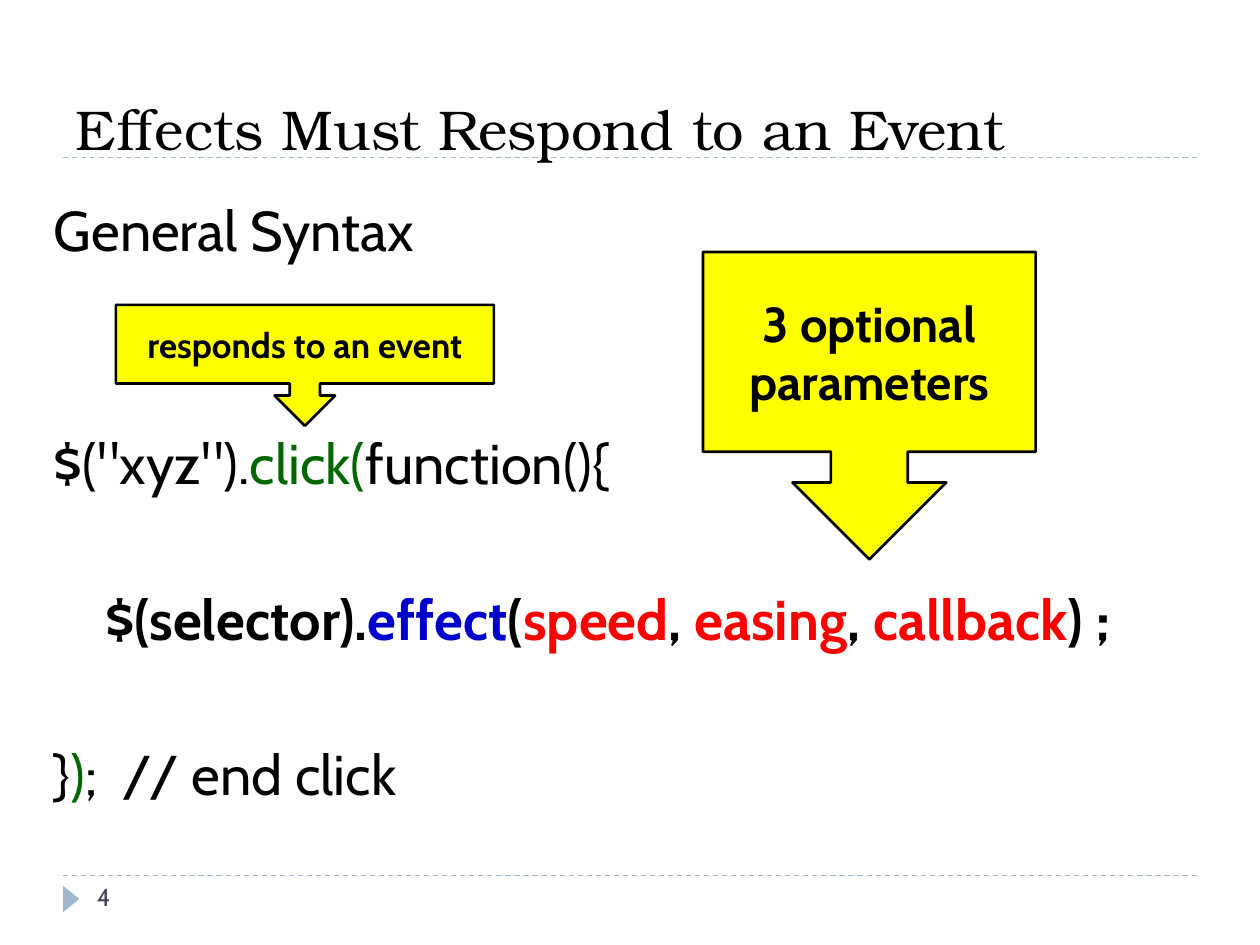
"""Build a slide on the syntax of effects that respond to an event."""
from lxml import etree
from pptx import Presentation
from pptx.dml.color import RGBColor
from pptx.enum.dml import MSO_LINE
from pptx.enum.shapes import MSO_CONNECTOR, MSO_SHAPE
from pptx.enum.text import MSO_ANCHOR, PP_ALIGN
from pptx.oxml.ns import qn
from pptx.util import Inches, Pt

DASH = MSO_LINE.DASH
LINE = MSO_CONNECTOR.STRAIGHT
TRIANGLE = MSO_SHAPE.ISOSCELES_TRIANGLE
CALLOUT = MSO_SHAPE.DOWN_ARROW_CALLOUT
BOTTOM, MIDDLE = MSO_ANCHOR.BOTTOM, MSO_ANCHOR.MIDDLE
CENTER = PP_ALIGN.CENTER
SANS, SERIF = "Cabin", "TeX Gyre Bonum"
BLACK, GREEN, BLUE, RED = "000000", "006600", "0000CC", "FF0000"
STEEL, YELLOW, GRAY = "9FB8CD", "FFFF00", "464653"


def color(code):
    return RGBColor.from_string(code)


def style(run, size, code=BLACK, bold=False, face=SANS):
    run.font.size = Pt(size)
    run.font.name = face
    run.font.bold = bold
    run.font.color.rgb = color(code)


deck = Presentation()
deck.slide_width, deck.slide_height = Inches(10), Inches(7.5)
slide = deck.slides.add_slide(deck.slide_layouts[6])
shapes = slide.shapes

for y in (6.95, 1.25):
    rule = shapes.add_connector(LINE, Inches(0.5), Inches(y), Inches(9.5), Inches(y))
    rule.line.color.rgb = color(STEEL)
    rule.line.width = Pt(0.75)
    rule.line.dash_style = DASH
    etree.SubElement(rule._element.spPr, qn("a:effectLst"))

marker = shapes.add_shape(TRIANGLE, Inches(0.46), Inches(7.07), Inches(0.21), Inches(0.13))
marker.rotation = 90
marker.shadow.inherit = False
marker.fill.solid()
marker.fill.fore_color.rgb = color(STEEL)
marker.line.fill.background()

title = shapes.add_textbox(Inches(0.5), Inches(0.25), Inches(9), Inches(1.08))
frame = title.text_frame
frame.word_wrap = True
frame.vertical_anchor = BOTTOM
frame.text = "Effects Must Respond to an Event"
style(frame.paragraphs[0].runs[0], 32, face=SERIF)

rows = [
    (6, 0, False, [("General Syntax", BLACK)]),
    (95, 0, False, [('$("xyz").', BLACK), ("click(", GREEN), ("function(){", BLACK)]),
    (50.5, 0.41, True, [
        ("$(selector).", BLACK), ("effect", BLUE), ("(", BLACK), ("speed", RED),
        (", ", BLACK), ("easing", RED), (", ", BLACK), ("callback", RED), (") ;", BLACK),
    ]),
    (50.5, 0, False, [("}", BLACK), (")", GREEN), (";  // end click", BLACK)]),
]
body = shapes.add_textbox(Inches(0.33), Inches(1.5), Inches(9.42), Inches(5.67))
frame = body.text_frame
frame.word_wrap = True
for i, (gap, indent, bold, parts) in enumerate(rows):
    para = frame.add_paragraph() if i else frame.paragraphs[0]
    para.space_before = Pt(gap)
    para._p.get_or_add_pPr().set("marL", str(Inches(indent)))
    for text, code in parts:
        run = para.add_run()
        run.text = text
        style(run, 32, code, bold)

number = shapes.add_textbox(Inches(0.67), Inches(6.95), Inches(2.17), Inches(0.4))
frame = number.text_frame
frame.word_wrap = True
frame.text = "4"
style(frame.paragraphs[0].runs[0], 14, GRAY)

notes = [
    (0.92, 2.42, 3, 0.96, 20, "responds to an event"),
    (5.58, 2, 2.64, 2.44, 28, "3 optional parameters"),
]
for x, y, wide, high, size, text in notes:
    note = shapes.add_shape(CALLOUT, Inches(x), Inches(y), Inches(wide), Inches(high))
    note.shadow.inherit = False
    note.fill.solid()
    note.fill.fore_color.rgb = color(YELLOW)
    note.line.color.rgb = color(BLACK)
    note.line.width = Pt(1.5)
    frame = note.text_frame
    frame.word_wrap = True
    frame.vertical_anchor = MIDDLE
    frame.text = text
    frame.paragraphs[0].alignment = CENTER
    style(frame.paragraphs[0].runs[0], size, bold=True)

deck.save("out.pptx")
